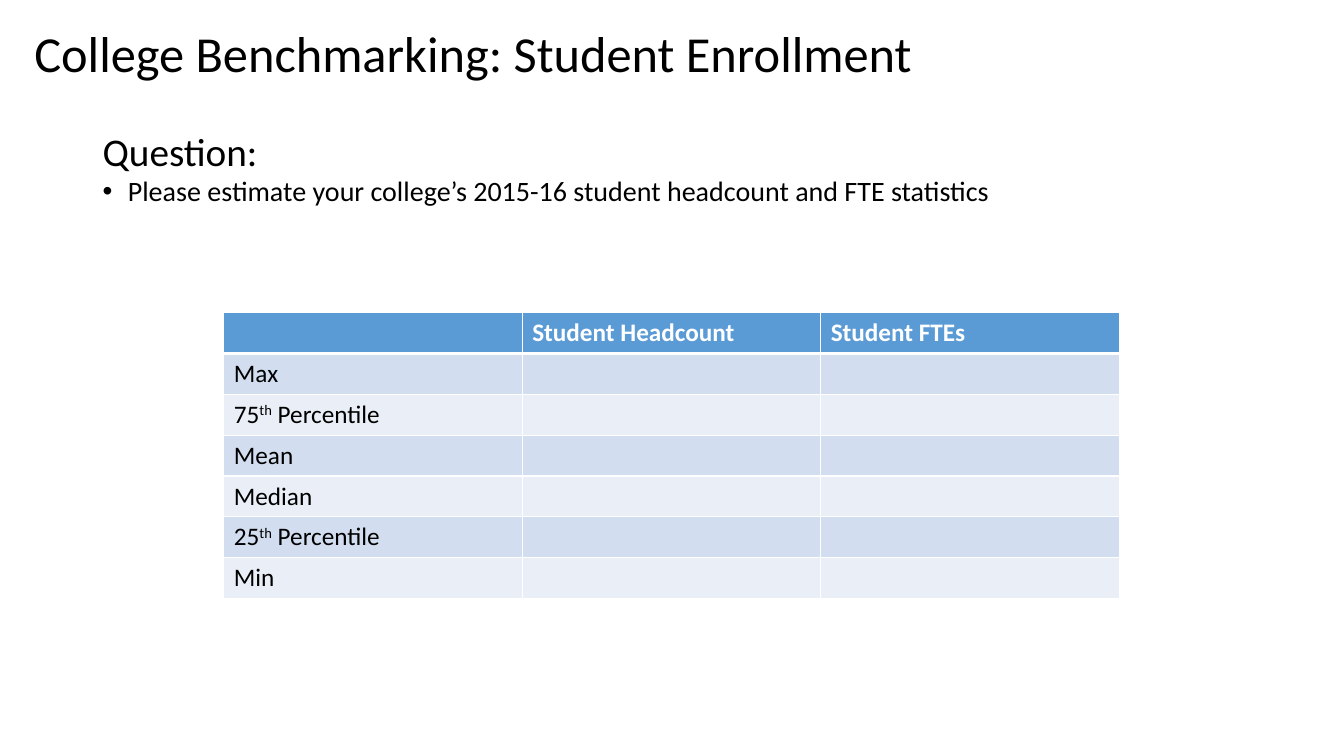
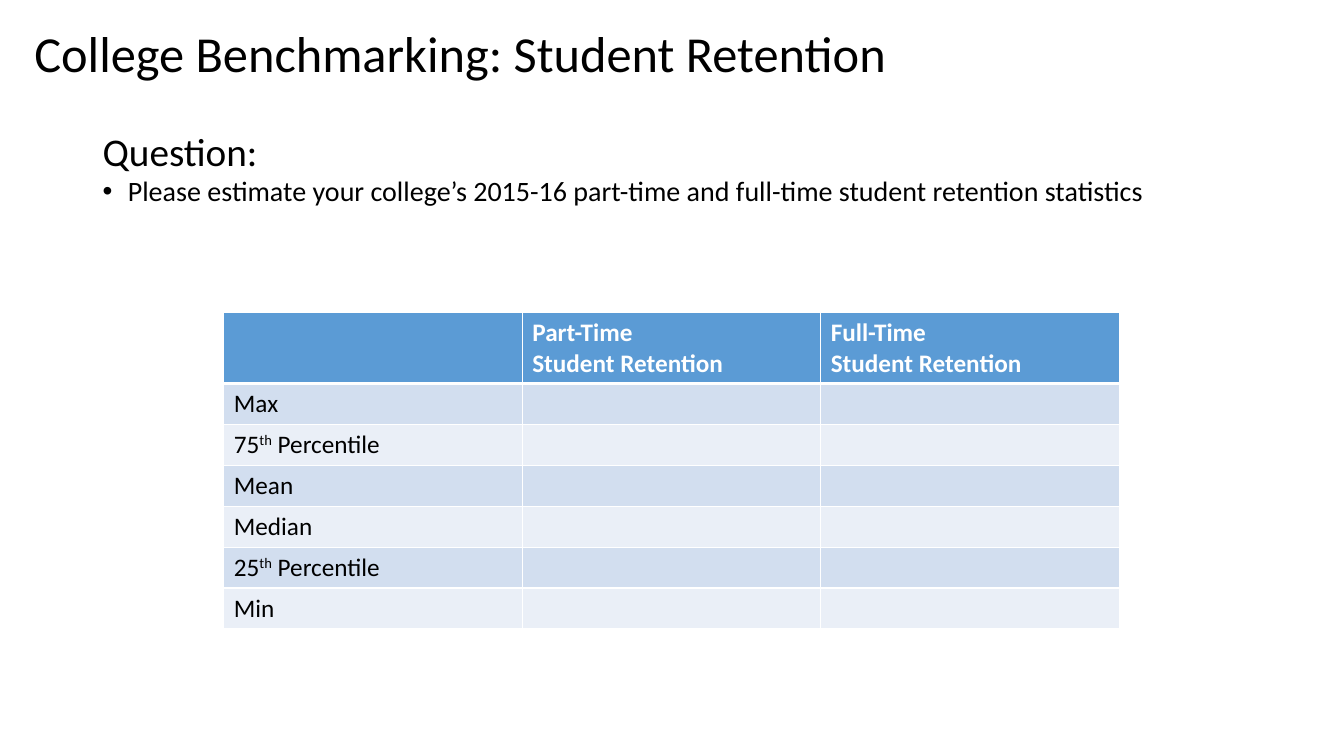
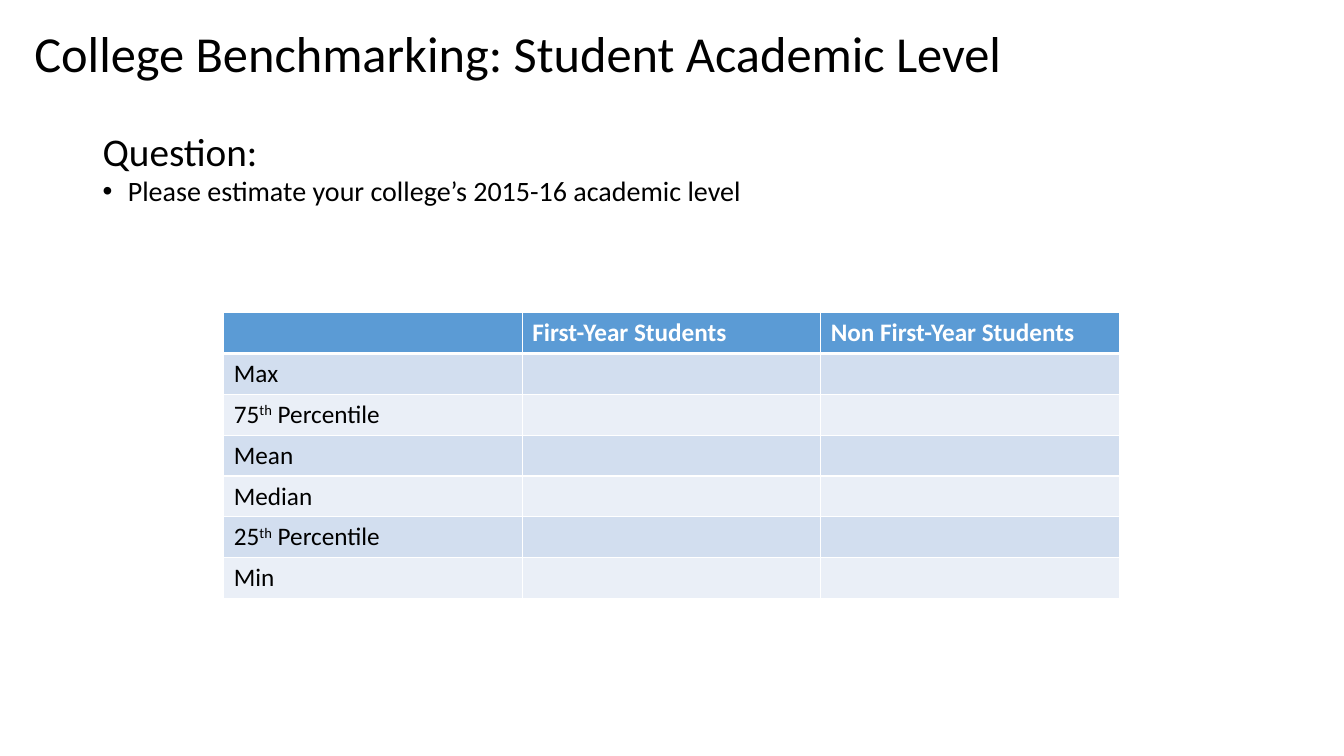
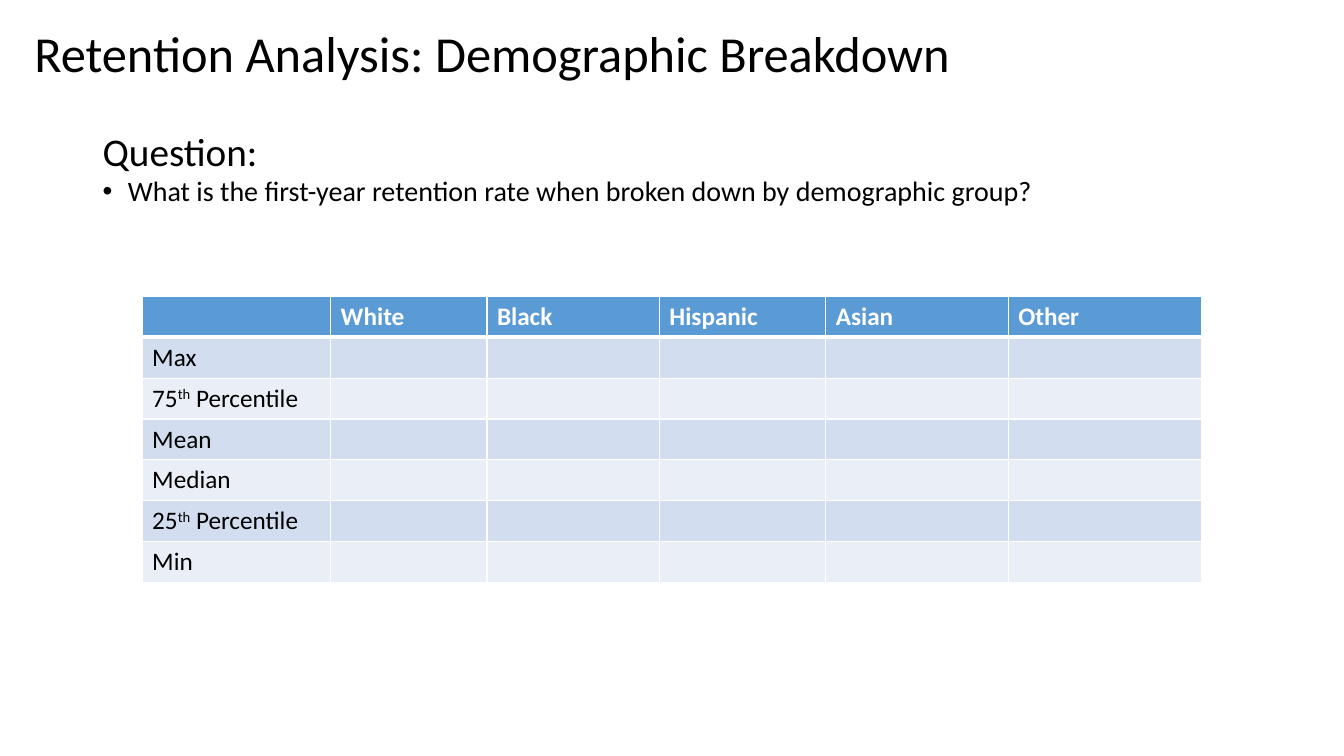
from pptx import Presentation
from pptx.dml.color import RGBColor
from pptx.enum.text import MSO_ANCHOR, MSO_AUTO_SIZE, PP_ALIGN
from pptx.oxml.ns import qn
from pptx.util import Inches, Pt
from lxml.etree import SubElement

FONT = "Calibri"
BLACK = "000000"
WHITE = "FFFFFF"
HEADER_FILL = "5B9BD5"
BAND_FILLS = ["D2DEEF", "EAEFF7"]
ROW_LABELS = ["Max", "75th Percentile", "Mean", "Median", "25th Percentile", "Min"]
TABLE_HEIGHT = 2.84
ROW_HEIGHT = TABLE_HEIGHT / (len(ROW_LABELS) + 1)
EXTRA_LINE = 0.3
THREE_COLUMNS = [2.96] * 3
GROUP_COLUMNS = [1.87, 1.55, 1.71, 1.65, 1.81, 1.92]

# title, question, table left, table top, column widths, column headings
SLIDES = [
    ("College Benchmarking: Student Enrollment",
     "Please estimate your college’s 2015-16 student headcount and FTE statistics",
     2.22, 3.1, THREE_COLUMNS, ["Student Headcount", "Student FTEs"]),
    ("College Benchmarking: Student Retention",
     "Please estimate your college’s 2015-16 part-time and full-time student retention statistics",
     2.22, 3.1, THREE_COLUMNS,
     ["Part-Time\nStudent Retention", "Full-Time\nStudent Retention"]),
    ("College Benchmarking: Student Academic Level",
     "Please estimate your college’s 2015-16 academic level",
     2.22, 3.1, THREE_COLUMNS, ["First-Year Students", "Non First-Year Students"]),
    ("Retention Analysis: Demographic Breakdown",
     "What is the first-year retention rate when broken down by demographic group?",
     1.41, 2.94, GROUP_COLUMNS, ["White", "Black", "Hispanic", "Asian", "Other"]),
]


def rgb(color):
    """Turn a hex string into a colour."""
    return RGBColor.from_string(color)


def format_runs(p, size, color=BLACK, bold=False):
    """Give every run of a paragraph the same font."""
    for r in p.runs:
        r.font.name = FONT
        r.font.size = Pt(size)
        r.font.bold = bold
        r.font.color.rgb = rgb(color)


def add_title(slide, text):
    """Place and format the slide title."""
    sp = slide.shapes.title
    sp.left, sp.top, sp.width, sp.height = map(Inches, (0.24, 0.14, 11.5, 0.83))
    tf = sp.text_frame
    tf.text = text
    tf.word_wrap = True
    tf.auto_size = MSO_AUTO_SIZE.NONE
    tf.vertical_anchor = MSO_ANCHOR.MIDDLE
    p = tf.paragraphs[0]
    p.alignment = PP_ALIGN.LEFT
    p.line_spacing = 0.9
    format_runs(p, 36)


def add_bullet(p):
    """Give a paragraph a round bullet with a hanging indent."""
    pPr = p._p.get_or_add_pPr()
    pPr.set("marL", str(Inches(0.25)))
    pPr.set("indent", str(Inches(-0.25)))
    SubElement(pPr, qn("a:buFont"), typeface="Arial")
    SubElement(pPr, qn("a:buChar"), char="•")


def add_question(slide, question):
    """Add the question heading with its bulleted text."""
    sp = slide.shapes.add_textbox(Inches(0.92), Inches(1.21), Inches(11.5), Inches(1.32))
    tf = sp.text_frame
    tf.word_wrap = True
    tf.text = f"Question:\n{question}"
    heading, bullet = tf.paragraphs
    format_runs(heading, 28)
    format_runs(bullet, 20)
    add_bullet(bullet)


def set_borders(cell, top, bottom):
    """Draw white cell borders; top and bottom widths are in points."""
    tcPr = cell._tc.get_or_add_tcPr()
    for side, width in (("L", 1), ("R", 1), ("T", top), ("B", bottom)):
        ln = SubElement(tcPr, qn(f"a:ln{side}"), w=str(Pt(width)))
        fill = SubElement(ln, qn("a:solidFill"))
        SubElement(fill, qn("a:srgbClr"), val=WHITE)


def style_cell(cell, row):
    """Set borders and fill by row: a header, then alternating bands."""
    set_borders(cell, top=3 if row == 1 else 1, bottom=3 if row == 0 else 1)
    cell.fill.solid()
    cell.fill.fore_color.rgb = rgb(BAND_FILLS[(row - 1) % 2] if row else HEADER_FILL)


def write_label(cell, label):
    """Write a row label, raising the ending of an ordinal number."""
    p = cell.text_frame.paragraphs[0]
    for part in filter(None, label.partition("th")):
        r = p.add_run()
        r.text = part
        if part == "th":
            r._r.get_or_add_rPr().set("baseline", "30000")
    format_runs(p, 18)


def add_statistics_table(slide, left, top, widths, headings):
    """Add the table of statistics with empty cells to fill in."""
    header_height = ROW_HEIGHT + EXTRA_LINE * max(h.count("\n") for h in headings)
    height = header_height + ROW_HEIGHT * len(ROW_LABELS)
    table = slide.shapes.add_table(
        len(ROW_LABELS) + 1, len(widths),
        Inches(left), Inches(top), Inches(sum(widths)), Inches(height)).table
    for column, width in zip(table.columns, widths):
        column.width = Inches(width)
    for i, row in enumerate(table.rows):
        row.height = Inches(ROW_HEIGHT if i else header_height)
        for cell in row.cells:
            style_cell(cell, i)
    for col, heading in enumerate(headings, 1):
        tf = table.cell(0, col).text_frame
        tf.text = heading
        for p in tf.paragraphs:
            format_runs(p, 18, WHITE, bold=True)
    for i, label in enumerate(ROW_LABELS, 1):
        write_label(table.cell(i, 0), label)


def main():
    """Build the slides and save the presentation."""
    prs = Presentation()
    prs.slide_width, prs.slide_height = Inches(13.33), Inches(7.5)
    title_only = prs.slide_layouts[5]
    for title, question, left, top, widths, headings in SLIDES:
        slide = prs.slides.add_slide(title_only)
        add_title(slide, title)
        add_question(slide, question)
        add_statistics_table(slide, left, top, widths, headings)
    prs.save("out.pptx")


main()
